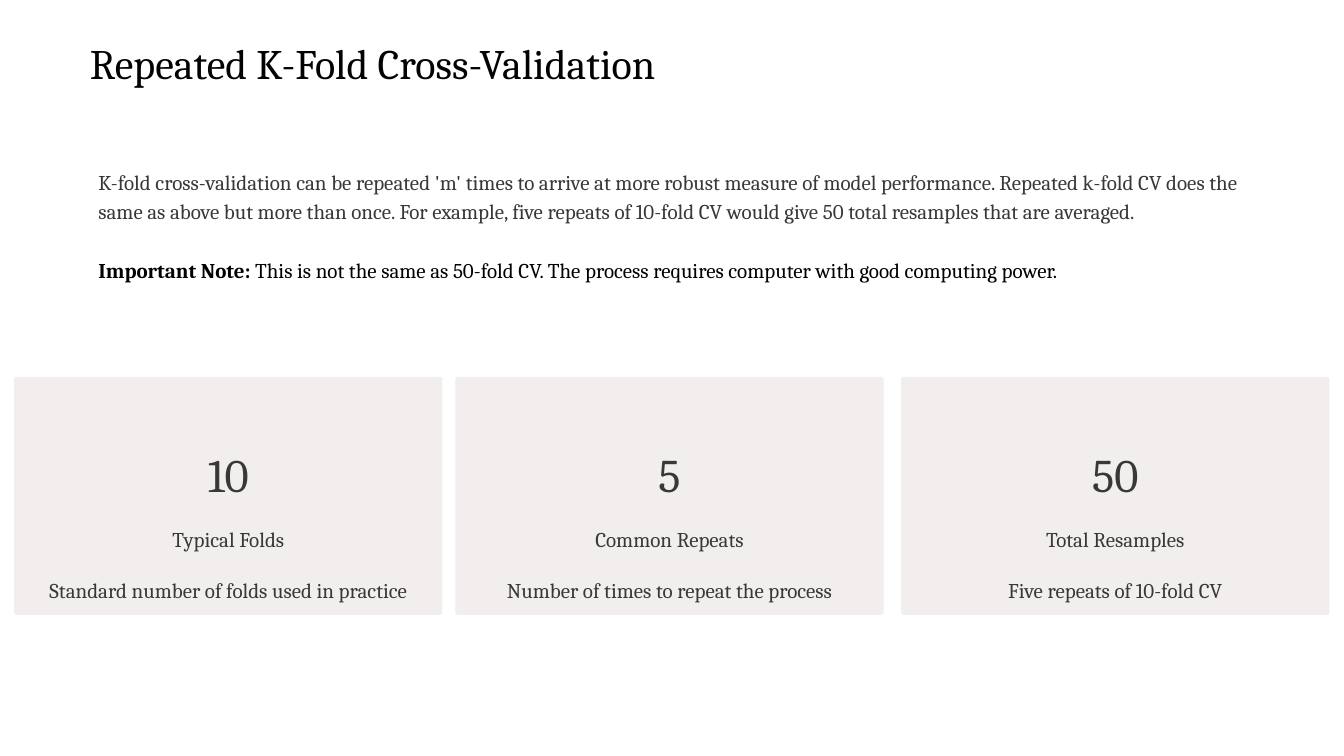
from pptx import Presentation
from pptx.dml.color import RGBColor
from pptx.enum.shapes import MSO_SHAPE as Shape
from pptx.enum.text import MSO_ANCHOR as Anchor, MSO_AUTO_SIZE as AutoSize, PP_ALIGN as Align
from pptx.oxml.ns import qn
from pptx.util import Cm, Pt
from lxml.etree import SubElement

COLORS = {"title": "020202", "text": "383838", "note": "000000", "card": "F2EEEE"}


class SlideBuilder:
    """Holds the text style and the current slide."""

    font = "Cambria"

    def __init__(self, deck):
        self.page = deck.slides.add_slide(deck.slide_layouts[1])

    def color(self, name):
        return RGBColor.from_string(COLORS[name])

    def place(self, box, left, top, width, height):
        box.left, box.top, box.width, box.height = map(Cm, (left, top, width, height))

    def prepare(self, box, anchor):
        frame = box.text_frame
        frame.word_wrap = True
        frame.auto_size = AutoSize.NONE
        frame.vertical_anchor = anchor
        return frame

    def paragraph(self, frame, index, align, line_spacing, space_before=0):
        para = frame.add_paragraph() if index else frame.paragraphs[0]
        para.alignment = align
        para.line_spacing = line_spacing
        para.space_before = Pt(space_before)
        return para

    def run(self, para, text, size, color, bold=False):
        span = para.add_run()
        span.text = text
        span.font.name = self.font
        span.font.size = Pt(size)
        span.font.bold = bold
        span.font.color.rgb = self.color(color)

    def title(self, text):
        box = self.page.shapes.title
        self.place(box, 2.72, 0.86, 37.92, 1.7)
        frame = self.prepare(box, Anchor.TOP)
        frame.margin_left = frame.margin_right = frame.margin_top = frame.margin_bottom = 0
        para = self.paragraph(frame, 0, Align.LEFT, Pt(51))
        self.run(para, text, 36, "title")

    def body(self, paragraphs):
        box = self.page.placeholders[1]
        self.place(box, 2.72, 4.88, 36.02, 5.54)
        frame = self.prepare(box, Anchor.TOP)
        for index, spans in enumerate(paragraphs):
            para = self.paragraph(frame, index, Align.LEFT, Pt(25), 25 if index else 0)
            # Plain text: no bullet and no hanging indent
            props = para._p.get_or_add_pPr()
            props.set("marL", "0")
            props.set("indent", "0")
            SubElement(props, qn("a:buNone"))
            for text, color, bold in spans:
                self.run(para, text, 18, color, bold)

    def card(self, left, number, label, detail):
        box = self.page.shapes.add_shape(
            Shape.ROUNDED_RECTANGLE, Cm(left), Cm(11.4), Cm(12.95), Cm(7.19))
        box.adjustments[0] = 0.01
        box.shadow.inherit = False
        box.fill.solid()
        box.fill.fore_color.rgb = self.color("card")
        box.line.fill.background()
        frame = self.prepare(box, Anchor.MIDDLE)
        for index, (text, size) in enumerate([(number, 40), (label, 18), (detail, 18)]):
            para = self.paragraph(frame, index, Align.CENTER, 2.0)
            self.run(para, text, size, "text")


def main():
    deck = Presentation()
    deck.slide_width, deck.slide_height = Cm(40.64), Cm(22.86)
    slide = SlideBuilder(deck)

    # Heading and explanation
    slide.title("Repeated K-Fold Cross-Validation")
    slide.body([
        [("K-fold cross-validation can be repeated 'm' times to arrive at more robust "
          "measure of model performance. Repeated k-fold CV does the same as above but "
          "more than once. For example, five repeats of 10-fold CV would give 50 total "
          "resamples that are averaged.", "text", False)],
        [("Important Note:", "note", True),
         (" This is not the same as 50-fold CV. The process requires computer with good "
          "computing power.", "note", False)],
    ])

    # Key figures
    slide.card(0.43, "10", "Typical Folds", "Standard number of folds used in practice")
    slide.card(13.77, "5", "Common Repeats", "Number of times to repeat the process")
    slide.card(27.25, "50", "Total Resamples", "Five repeats of 10-fold CV")

    deck.save("out.pptx")


if __name__ == "__main__":
    main()
